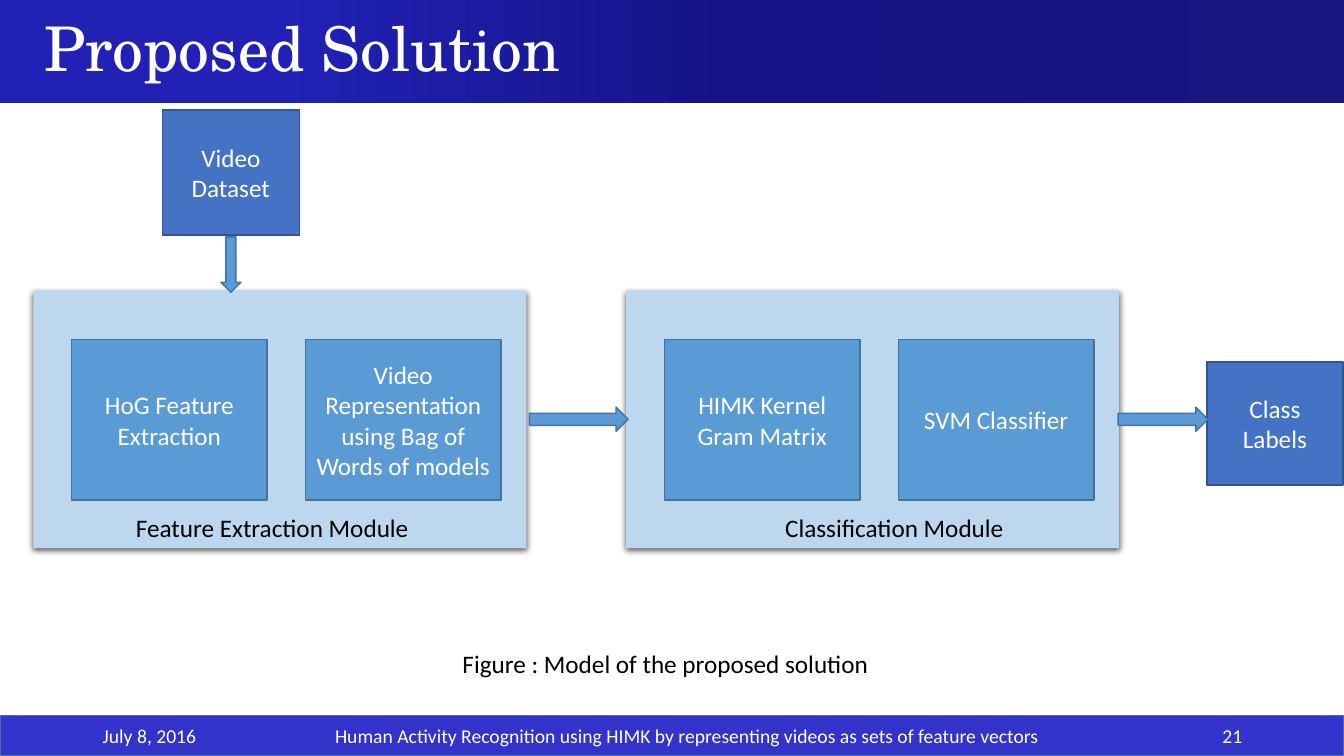
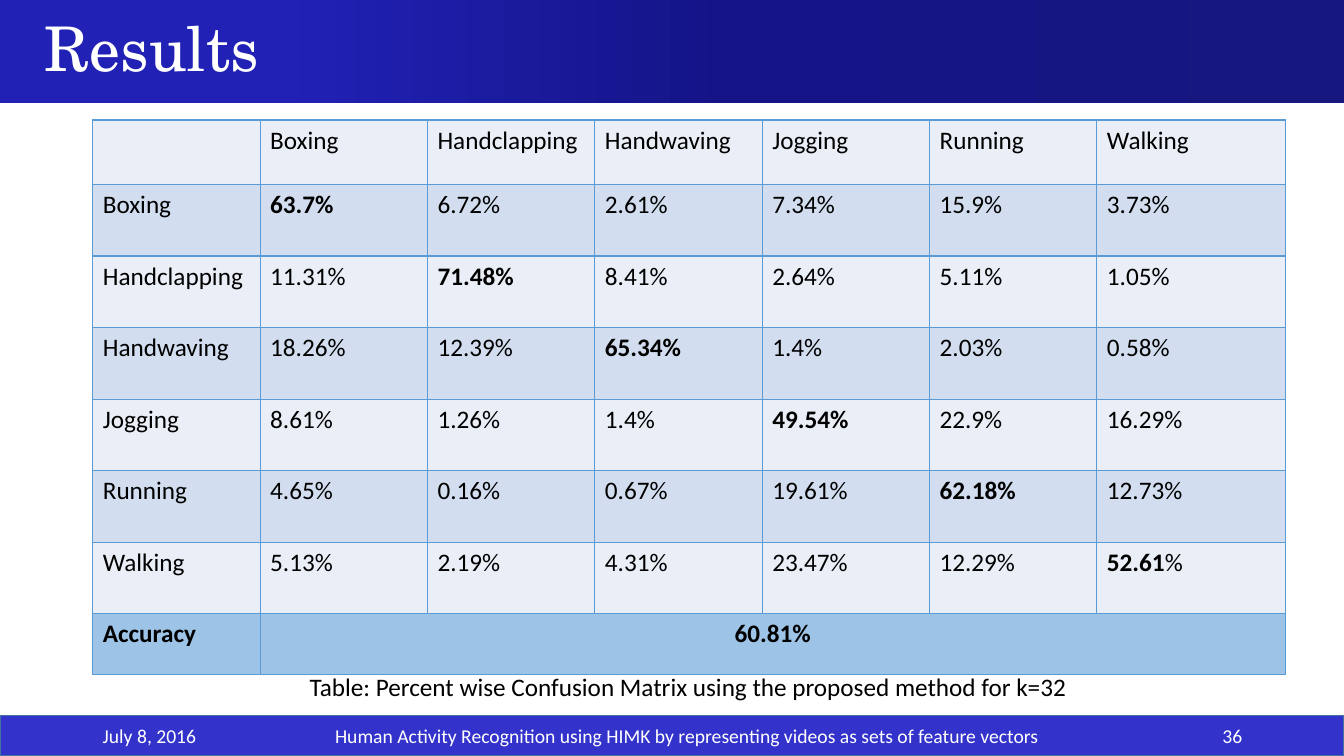
from dataclasses import dataclass

import lxml.etree
import pptx
import pptx.dml.color
import pptx.enum.shapes
import pptx.enum.text
import pptx.oxml.ns
import pptx.util

PX = 9144  # EMU in one px, 100 px to the inch
SHAPE = pptx.enum.shapes.MSO_SHAPE
ALIGN = pptx.enum.text.PP_ALIGN
ANCHOR = pptx.enum.text.MSO_ANCHOR
qn = pptx.oxml.ns.qn


@dataclass(frozen=True)
class Theme:
    width: int = 1333
    height: int = 750
    title_font: str = "TeX Gyre Schola"
    body_font: str = "Calibri"
    title_size: int = 44
    body_size: int = 18
    footer_size: int = 14
    white: str = "FFFFFF"
    black: str = "000000"
    title_stops: tuple = ((0, "171780"), (46, "141487"), (79, "2121B6"))
    footer: str = "3333CC"
    data: str = "4472C4"
    data_line: str = "325491"
    step: str = "5B9BD5"
    step_line: str = "43739E"
    module: str = "BDD7EE"
    bands: tuple = ("EAEFF7", "D2DEEF")
    total: str = "9DC3E6"


T = Theme()
DATE = "July 8, 2016"
TOPIC = ("Human Activity Recognition using HIMK by representing videos "
         "as sets of feature vectors")
ACTIONS = ["Boxing", "Handclapping", "Handwaving", "Jogging", "Running", "Walking"]
CONFUSION = [
    ["63.7%", "6.72%", "2.61%", "7.34%", "15.9%", "3.73%"],
    ["11.31%", "71.48%", "8.41%", "2.64%", "5.11%", "1.05%"],
    ["18.26%", "12.39%", "65.34%", "1.4%", "2.03%", "0.58%"],
    ["8.61%", "1.26%", "1.4%", "49.54%", "22.9%", "16.29%"],
    ["4.65%", "0.16%", "0.67%", "19.61%", "62.18%", "12.73%"],
    ["5.13%", "2.19%", "4.31%", "23.47%", "12.29%", "52.61%"],
]


def px(*lengths):
    return [pptx.util.Emu(n * PX) for n in lengths]


def rgb(color):
    return pptx.dml.color.RGBColor.from_string(color)


def sub(parent, tag, **attrs):
    return lxml.etree.SubElement(parent, qn(tag), {k: str(v) for k, v in attrs.items()})


def write(tf, runs, color=T.black, size=T.body_size, font=T.body_font, align=ALIGN.LEFT):
    """Fill the first paragraph; runs is a text or a list of (text, bold)."""
    if isinstance(runs, str):
        runs = [(runs, False)]
    p = tf.paragraphs[0]
    p.alignment = align
    for text, bold in runs:
        r = p.add_run()
        r.text = text
        fmt = {"name": font, "size": pptx.util.Pt(size), "bold": bold}
        for key, value in fmt.items():
            setattr(r.font, key, value)
        r.font.color.rgb = rgb(color)
    return p


def add_box(s, at, fill, line=None, text=None, kind=SHAPE.RECTANGLE):
    sp = s.shapes.add_shape(kind, *px(*at))
    sp.shadow.inherit = False
    sp.fill.solid()
    sp.fill.fore_color.rgb = rgb(fill)
    if line:
        sp.line.color.rgb = rgb(line)
        sp.line.width = pptx.util.Pt(1)
    else:
        sp.line.fill.background()
    if text:
        write(sp.text_frame, text, color=T.white, align=ALIGN.CENTER)
    return sp


def add_label(s, at, text, anchor=ANCHOR.TOP, **style):
    tf = s.shapes.add_textbox(*px(*at)).text_frame
    tf.word_wrap = True
    tf.vertical_anchor = anchor
    write(tf, text, **style)


def add_title(s, text):
    sp = add_box(s, (0, 0, T.width, 102), T.footer)
    sp.fill.gradient()
    sp.fill.gradient_angle = 180
    stops = sp._element.spPr.find(qn("a:gradFill")).find(qn("a:gsLst"))
    for stop in list(stops):
        stops.remove(stop)
    for pos, color in T.title_stops:
        sub(sub(stops, "a:gs", pos=pos * 1000), "a:srgbClr", val=color)
    tf = sp.text_frame
    tf.margin_left = px(44)[0]
    p = write(tf, text, color=T.white, size=T.title_size, font=T.title_font)
    p.line_spacing = 0.9


def add_footer(s, number):
    top, height = 710, 40
    add_box(s, (0, top, T.width, height), T.footer, T.step_line)
    parts = [(92, 300, DATE, ALIGN.LEFT), (317, 729, TOPIC, ALIGN.CENTER),
             (942, 300, str(number), ALIGN.RIGHT)]
    for left, width, text, align in parts:
        add_label(s, (left, top, width, height), text, ANCHOR.MIDDLE,
                  color=T.white, size=T.footer_size, align=align)


def add_slide(prs, title, number):
    s = prs.slides.add_slide(prs.slide_layouts[6])
    add_title(s, title)
    add_footer(s, number)
    return s


def add_module(s, left, label, align, steps):
    """Shadowed panel with a row of steps above its label."""
    panel = add_box(s, (left, 288, 489, 256), T.module)
    shadow = sub(panel._element.spPr.find(qn("a:effectLst")), "a:outerShdw",
                 blurRad=57150, dist=19050, dir=5400000, algn="ctr", rotWithShape=0)
    sub(sub(shadow, "a:srgbClr", val=T.black), "a:alpha", val=63000)
    for i, step in enumerate(steps):
        add_box(s, (left + 38 + 232 * i, 337, 194, 159), T.step, T.step_line, step)
    add_label(s, (left + 92, 503, 348, 40), label, align=align)


def style_cell(cell, fill):
    tc_pr = cell._tc.get_or_add_tcPr()
    for side in "LRTB":
        line = sub(tc_pr, f"a:ln{side}", w=12700)
        sub(sub(line, "a:solidFill"), "a:srgbClr", val=T.step)
    cell.fill.solid()
    cell.fill.fore_color.rgb = rgb(fill)


def confusion_runs(row, col):
    text = CONFUSION[row][col]
    if row == col == len(ACTIONS) - 1:
        return [(text[:-1], True), ("%", False)]
    return [(text, row == col)]


def add_confusion_table(s):
    widths = [166] * 6 + [187]
    heights = [64] + [71] * 6 + [60]
    table = s.shapes.add_table(len(heights), len(widths),
                               *px(92, 119, sum(widths), sum(heights))).table
    table.first_row = table.horz_banding = False
    for col, width in zip(table.columns, px(*widths)):
        col.width = width
    for row, height in zip(table.rows, px(*heights)):
        row.height = height

    last = len(heights) - 1
    for r in range(len(heights)):
        for c in range(len(widths)):
            style_cell(table.cell(r, c), T.total if r == last else T.bands[r % 2])
    for i, action in enumerate(ACTIONS, 1):
        write(table.cell(0, i).text_frame, action)
        write(table.cell(i, 0).text_frame, action)
        for j in range(1, len(widths)):
            write(table.cell(i, j).text_frame, confusion_runs(i - 1, j - 1))
    table.cell(last, 1).merge(table.cell(last, len(widths) - 1))
    write(table.cell(last, 0).text_frame, [("Accuracy", True)])
    write(table.cell(last, 1).text_frame, [("60.81%", True)], align=ALIGN.CENTER)


def build_solution(prs):
    s = add_slide(prs, "Proposed Solution", 21)
    add_box(s, (161, 109, 136, 124), T.data, T.data_line, "Video Dataset")
    add_box(s, (1197, 359, 135, 122), T.data, T.data_line, "Class Labels")
    add_module(s, 33, "Feature Extraction Module", ALIGN.LEFT,
               ["HoG Feature Extraction",
                "Video Representation using Bag of Words of models"])
    add_module(s, 621, "Classification Module", ALIGN.CENTER,
               ["HIMK Kernel Gram Matrix", "SVM Classifier"])
    arrows = [(SHAPE.DOWN_ARROW, (219, 235, 20, 55)),
              (SHAPE.RIGHT_ARROW, (525, 404, 98, 24)),
              (SHAPE.RIGHT_ARROW, (1109, 404, 89, 24))]
    for kind, at in arrows:
        add_box(s, at, T.step, T.step_line, kind=kind)
    add_label(s, (213, 638, 894, 40), "Figure : Model of the proposed solution",
              align=ALIGN.CENTER)


def build_results(prs):
    s = add_slide(prs, "Results", 36)
    add_confusion_table(s)
    add_label(s, (76, 661, 1213, 40),
              "Table: Percent wise Confusion Matrix using the proposed method for k=32",
              align=ALIGN.CENTER)


def main():
    prs = pptx.Presentation()
    prs.slide_width, prs.slide_height = px(T.width, T.height)
    build_solution(prs)
    build_results(prs)
    prs.save("out.pptx")


if __name__ == "__main__":
    main()
